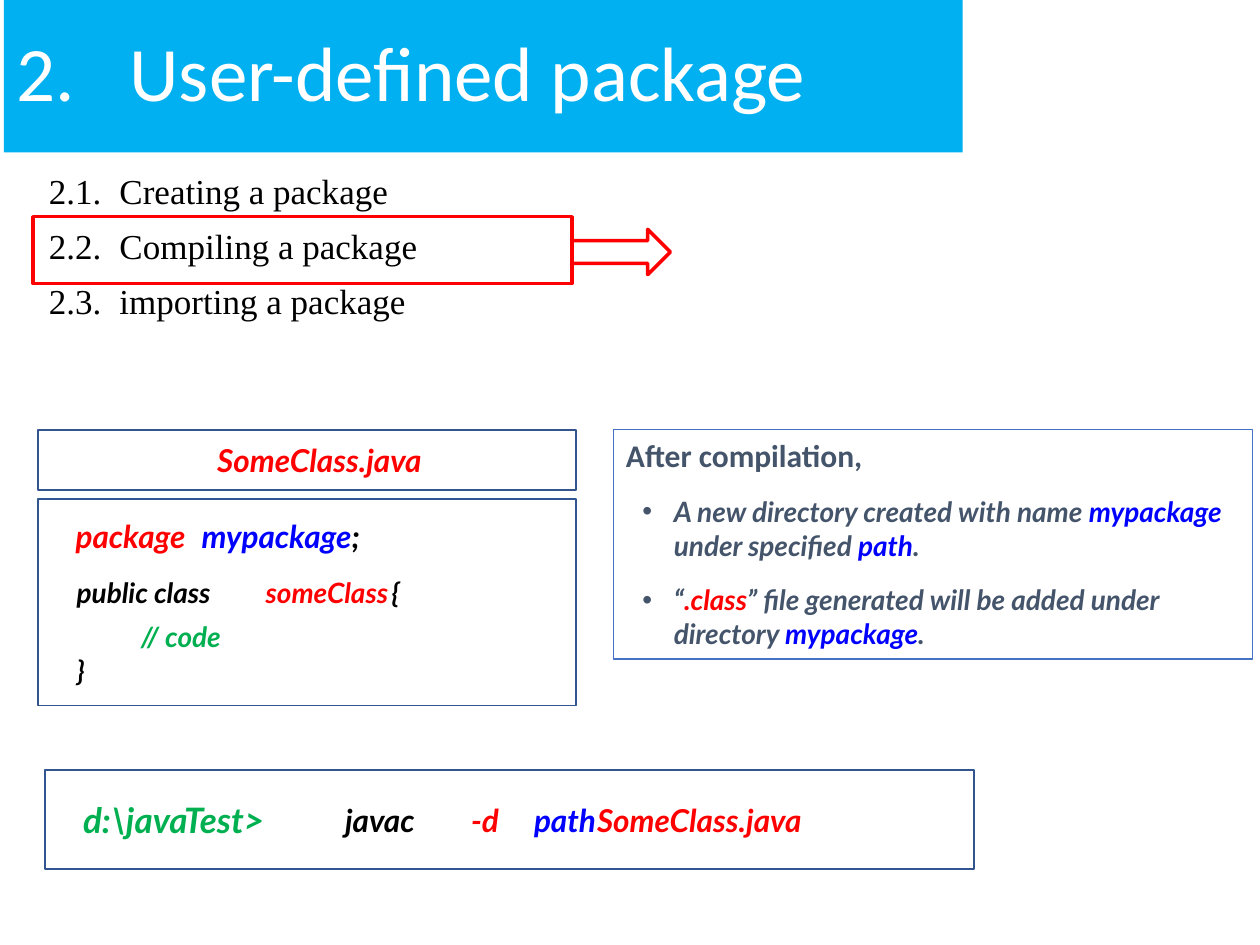
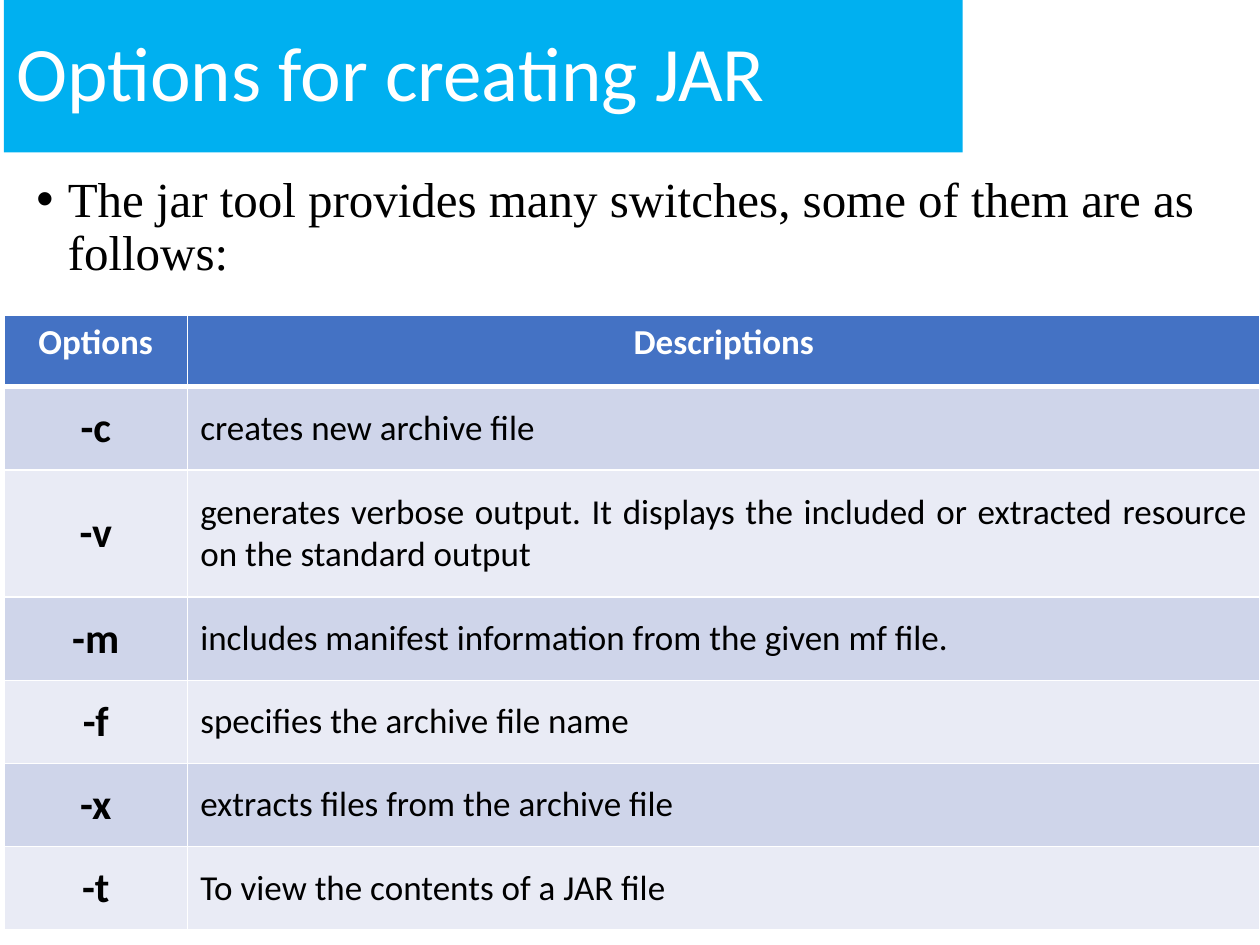
from pptx import Presentation
from pptx.dml.color import RGBColor
from pptx.enum.shapes import MSO_SHAPE as Shape
from pptx.enum.text import MSO_ANCHOR as Anchor, PP_ALIGN as Align
from pptx.oxml import parse_xml
from pptx.oxml.ns import nsdecls
from pptx.util import Inches, Pt

WHITE, BLACK, RED, BLUE = "FFFFFF", "000000", "FF0000", "0000FF"
GREEN, SLATE, SKY = "00B050", "44546A", "00B0F0"
ACCENT, NAVY = "4472C4", "325491"
BANDS = ("CFD5EA", "E9EBF5")
BODY, SERIF, CODE = "Calibri", "Times New Roman", "Lato"


def color(value):
    return RGBColor.from_string(value)


def element(name, attributes="", content=""):
    return parse_xml(f"<a:{name} {nsdecls('a')} {attributes}>{content}</a:{name}>")


class SlideBuilder:
    def __init__(self):
        self.deck = Presentation()
        self.deck.slide_width, self.deck.slide_height = Inches(10), Inches(7.5)
        self.page = None

    def new_page(self, title, indent=0):
        self.page = self.deck.slides.add_slide(self.deck.slide_layouts[6])
        band = self.shape(0.03, 0, 7.61, 1.21, fill=SKY)
        self.paragraph(band, [(title, WHITE)], indent=indent, hang=indent,
                       line_spacing=0.9, size=44)

    def shape(self, left, top, width, height, kind=Shape.RECTANGLE, fill=WHITE,
              line=None, weight=1, anchor=Anchor.MIDDLE, inset=0.1, inset_top=0.05):
        shape = self.page.shapes.add_shape(
            kind, Inches(left), Inches(top), Inches(width), Inches(height))
        shape.shadow.inherit = False
        shape.fill.solid()
        shape.fill.fore_color.rgb = color(fill)
        if line:
            shape.line.color.rgb = color(line)
            shape.line.width = Pt(weight)
        else:
            shape.line.fill.background()
        return self.frame(shape, anchor, inset, inset_top)

    def text(self, left, top, width, height):
        box = self.page.shapes.add_textbox(
            Inches(left), Inches(top), Inches(width), Inches(height))
        return self.frame(box, Anchor.TOP)

    def frame(self, box, anchor, inset=0.1, inset_top=0.05):
        layout = {"word_wrap": True, "vertical_anchor": anchor,
                  "margin_left": Inches(inset), "margin_right": Inches(0.1),
                  "margin_top": Inches(inset_top), "margin_bottom": Inches(0.05)}
        for name, value in layout.items():
            setattr(box.text_frame, name, value)
        return box.text_frame

    def paragraph(self, frame, spans, align=Align.LEFT, before=0, line_spacing=1.0,
                  indent=0, hang=0, bullet=False, tabs=(), size=18, font=BODY,
                  bold=False, italic=False):
        para = frame.paragraphs[0]
        if para.runs:
            para = frame.add_paragraph()
        layout = {"alignment": align, "space_before": Pt(before),
                  "line_spacing": line_spacing}
        for name, value in layout.items():
            setattr(para, name, value)
        properties = para._p.get_or_add_pPr()
        properties.set("marL", str(Inches(indent)))
        properties.set("indent", str(-Inches(hang)))
        if bullet:
            properties.append(element("buFont", 'typeface="Arial"'))
            properties.append(element("buChar", 'char="•"'))
        if tabs:
            stops = "".join(f'<a:tab pos="{Inches(tab)}" algn="l"/>' for tab in tabs)
            properties.append(element("tabLst", content=stops))
        style = {"size": Pt(size), "name": font, "bold": bold, "italic": italic}
        for words, tint in spans:
            span = para.add_run()
            span.text = words
            for name, value in style.items():
                setattr(span.font, name, value)
            span.font.color.rgb = color(tint)

    def code(self, frame, *spans, size=18, **layout):
        self.paragraph(frame, spans, size=size, font=CODE, bold=True, italic=True,
                       **layout)

    def table(self, left, top, widths, heights, rows):
        grid = self.page.shapes.add_table(
            len(rows), len(widths), Inches(left), Inches(top),
            Inches(sum(widths)), Inches(sum(heights))).table
        for column, width in zip(grid.columns, widths):
            column.width = Inches(width)
        for row, height in zip(grid.rows, heights):
            row.height = Inches(height)
        for r, row in enumerate(rows):
            for c, words in enumerate(row):
                self.cell(grid.cell(r, c), words, r == 0, c == 0, BANDS[(r - 1) % 2])

    def cell(self, cell, words, header, option, band):
        properties = cell._tc.get_or_add_tcPr()
        for side in "LRTB":
            weight = Pt(3 if header and side == "B" else 1)
            properties.append(element(
                f"ln{side}", f'w="{weight}"',
                f'<a:solidFill><a:srgbClr val="{WHITE}"/></a:solidFill>'))
        cell.fill.solid()
        cell.fill.fore_color.rgb = color(ACCENT if header else band)
        cell.vertical_anchor = Anchor.TOP if header else Anchor.MIDDLE
        self.paragraph(cell.text_frame, [(words, WHITE if header else BLACK)],
                       align=Align.CENTER if header or option else Align.JUSTIFY,
                       size=24 if option and not header else 20,
                       bold=header or option)


def compiling_page(builder):
    builder.new_page("2.\tUser-defined package", indent=0.9)
    builder.shape(0.26, 1.72, 4.28, 0.53, line=RED, weight=2)
    builder.shape(4.54, 1.82, 0.78, 0.36, Shape.RIGHT_ARROW, line=RED, weight=2)
    topics = builder.text(0.29, 1.33, 9.24, 1.62)
    for number, topic in enumerate(("Creating", "Compiling", "importing"), 1):
        builder.paragraph(topics, [(f"2.{number}.\t{topic} a package", BLACK)],
                          before=10, line_spacing=0.9, indent=0.56, hang=0.56,
                          size=20, font=SERIF)

    result = builder.shape(4.87, 3.41, 5.07, 1.82, line=ACCENT, weight=0.75,
                           anchor=Anchor.TOP)
    builder.paragraph(result, [("After compilation,", SLATE)], before=12, bold=True)
    outcomes = (
        [("A new directory created with name ", SLATE), ("mypackage", BLUE),
         (" under specified ", SLATE), ("path", BLUE), (".", SLATE)],
        [("“", SLATE), (".class", RED),
         ("” file generated will be added under directory ", SLATE),
         ("mypackage", BLUE), (".", SLATE)])
    for outcome in outcomes:
        builder.code(result, *outcome, size=16, before=12, indent=0.38, hang=0.25,
                     bullet=True)

    prompt = builder.shape(0.36, 6.11, 7.37, 0.79, line=NAVY, inset=0.3)
    builder.code(prompt, ("d:\\javaTest>", GREEN), size=20)
    command = builder.text(2.64, 6.31, 4.04, 0.4)
    builder.code(command, ("javac", BLACK), ("\t-d", RED), ("\tpath", BLUE),
                 ("\tSomeClass.java", RED), tabs=(0.67, 1.05, 1.65))

    source = builder.shape(0.3, 3.96, 4.27, 1.64, line=NAVY, anchor=Anchor.TOP,
                           inset=0.3, inset_top=0.14)
    builder.code(source, ("package", RED), ("\tmypackage", BLUE), (";", BLACK),
                 tabs=(0.99,))
    file_name = builder.shape(0.3, 3.41, 4.27, 0.48, line=NAVY, inset=0.3)
    builder.code(file_name, ("SomeClass.java", RED), align=Align.CENTER)
    listing = builder.text(0.51, 4.52, 3.62, 1.03)
    builder.code(listing, ("public class", BLACK), ("\tsomeClass", RED),
                 ("\t{", BLACK), size=16, before=12, tabs=(1.16, 2.23))
    builder.code(listing, ("// code", GREEN), size=16, before=6, indent=0.51)
    builder.code(listing, ("}", BLACK), size=16)


def options_page(builder):
    builder.new_page("Options for creating JAR")
    intro = builder.text(0.19, 1.34, 9.6, 1.09)
    builder.paragraph(
        intro,
        [("The jar tool provides many switches, some of them are as follows:", BLACK)],
        before=10, line_spacing=0.9, indent=0.25, hang=0.25, bullet=True,
        size=28, font=SERIF)
    options = (
        ("Options", "Descriptions"),
        ("-c", "creates new archive file"),
        ("-v", "generates verbose output. It displays the included or extracted "
               "resource on the standard output"),
        ("-m", "includes manifest information from the given mf file."),
        ("-f", "specifies the archive file name"),
        ("-x", "extracts files from the archive file"),
        ("-t", "To view the contents of a JAR file"))
    builder.table(0.03, 2.5, (1.46, 8.51), (0.57, 0.66, 1.01) + (0.66,) * 4, options)


def main():
    builder = SlideBuilder()
    compiling_page(builder)
    options_page(builder)
    builder.deck.save("out.pptx")


if __name__ == "__main__":
    main()
